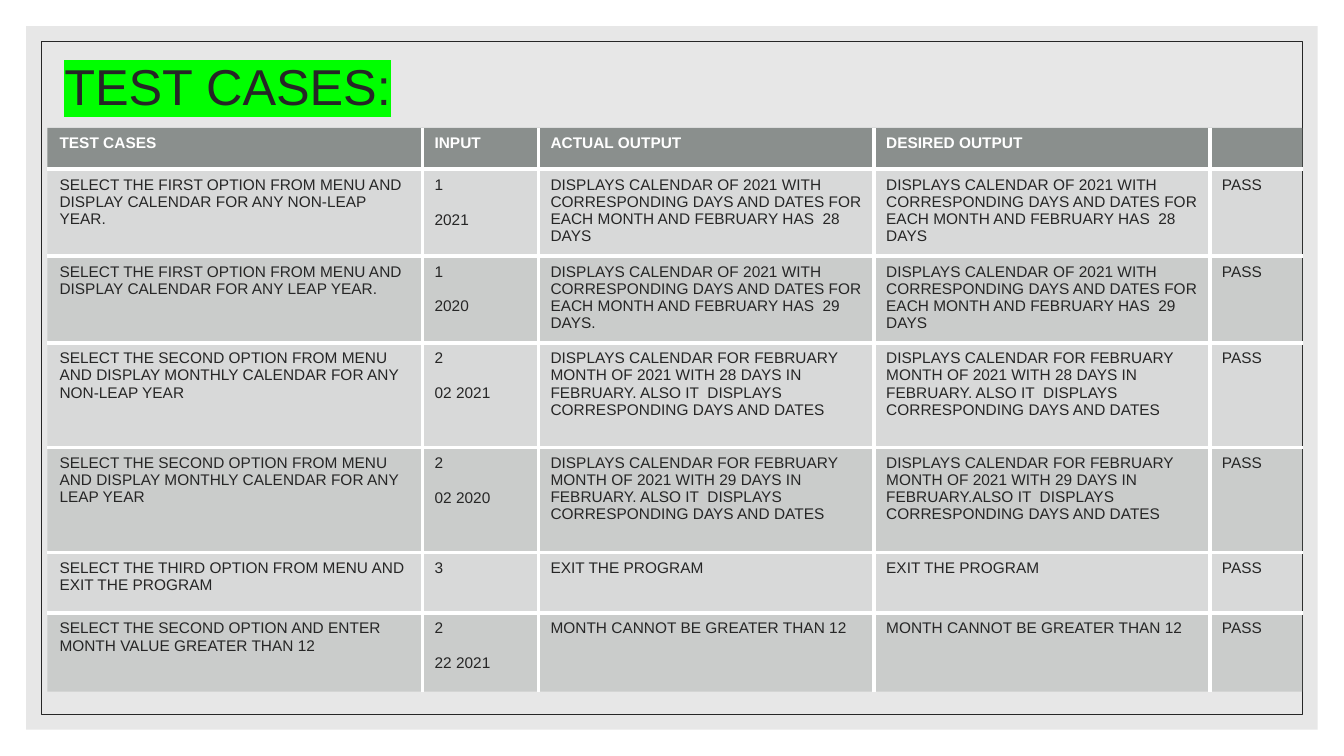
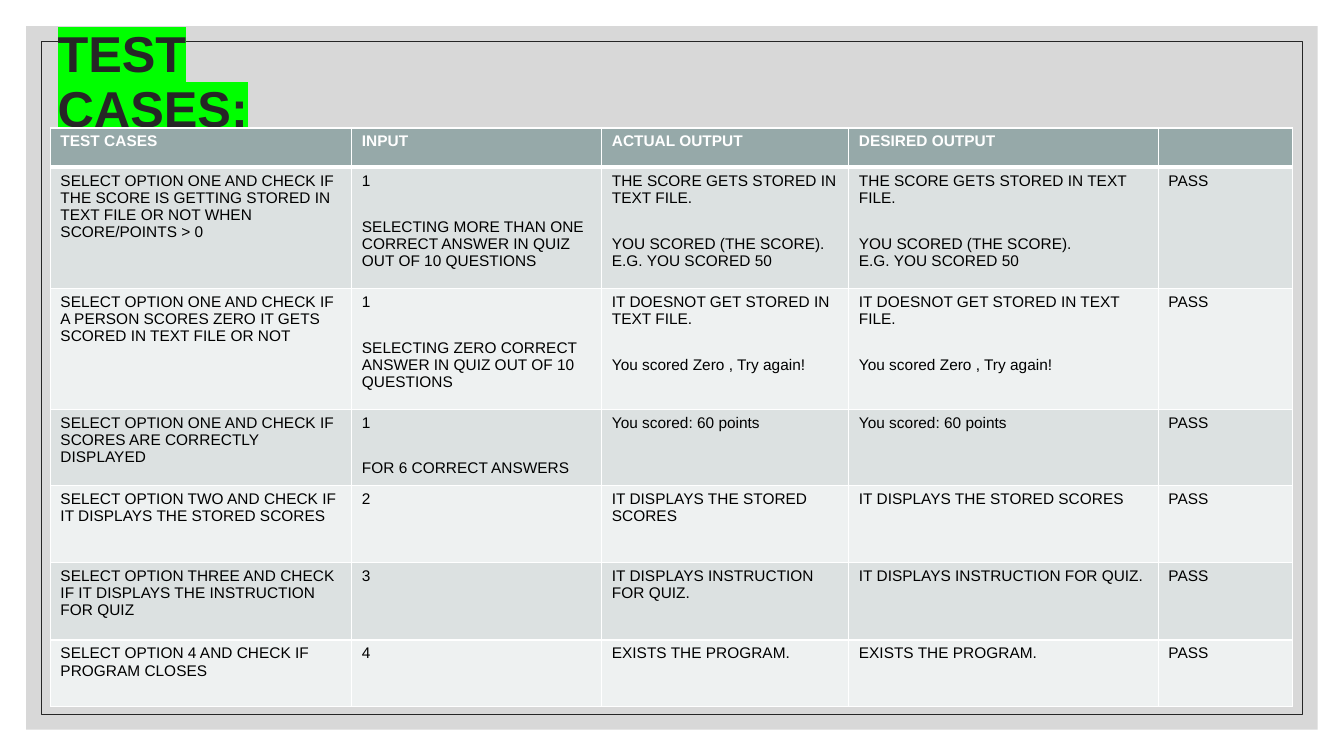
from dataclasses import dataclass

import pptx
import pptx.dml.color
import pptx.enum.shapes
import pptx.enum.text
import pptx.oxml.ns
import pptx.oxml.xmlchemy
import pptx.util
from lxml import etree

qn = pptx.oxml.ns.qn
Pt = pptx.util.Pt
Inches = pptx.util.Inches
ALIGN = pptx.enum.text.PP_ALIGN

SLIDE_WIDTH, SLIDE_HEIGHT = Inches(13.33), Inches(7.5)
FONT = "Arial"
DARK, WHITE, BLACK, MARKER = "262626", "FFFFFF", "000000", "00FF00"
TITLE = "TEST CASES:"
HEADINGS = ("TEST CASES", "INPUT", "ACTUAL OUTPUT", "DESIRED OUTPUT", "")
TABLE_TOP = 16.93
PANEL_INSET = (1.95, 3.47)
OUTLINE_INSET = (3.08, 5.47)


@dataclass(frozen=True)
class Case:
    """One tested case; lines are separated by newlines."""
    step: str
    entry: str
    actual: str
    desired: str = ""

    def cells(self) -> tuple[str, ...]:
        return self.step, self.entry, self.actual, self.desired or self.actual, "PASS"


@dataclass(frozen=True)
class Look:
    """How a table is painted: fills are (colour, opacity) pairs, lines are points."""
    header: tuple[str, int]
    bands: tuple[tuple[str, int], tuple[str, int]]
    ink: str
    outer_line: float
    inner_line: float
    gap: float
    margins: dict[str, float]


@dataclass(frozen=True)
class TestSlide:
    """Lengths are percentages of the slide's width or height."""
    panel: str
    title_box: tuple[float, float, float, float]
    title_align: ALIGN
    title_bold: bool
    table_left: float
    columns: tuple[float, ...]
    rows: tuple[float, ...]
    look: Look
    cases: tuple[Case, ...]


CALENDAR = TestSlide(
    panel="D8D8D8",
    title_box=(3.9, 7.33, 26.1, 9.07), title_align=ALIGN.CENTER, title_bold=False,
    table_left=3.53,
    columns=(27.91, 8.63, 24.98, 24.98, 6.9),
    rows=(5.47, 11.47, 11.47, 13.87, 13.87, 8, 10.4),
    look=Look(("636B68", 70), (("878E8B", 15), ("878E8B", 30)), DARK, 0, 3, 12.6,
              {"margin_left": 0.12, "margin_top": 0.07,
               "margin_right": 0.07, "margin_bottom": 0.07}),
    cases=(
        Case("SELECT THE FIRST OPTION FROM MENU AND DISPLAY CALENDAR FOR ANY NON-LEAP YEAR.",
             "1\n2021",
             "DISPLAYS CALENDAR OF 2021 WITH CORRESPONDING DAYS AND DATES FOR EACH MONTH "
             "AND FEBRUARY HAS  28 DAYS"),
        Case("SELECT THE FIRST OPTION FROM MENU AND DISPLAY CALENDAR FOR ANY LEAP YEAR.",
             "1\n2020",
             "DISPLAYS CALENDAR OF 2021 WITH CORRESPONDING DAYS AND DATES FOR EACH MONTH "
             "AND FEBRUARY HAS  29 DAYS.",
             "DISPLAYS CALENDAR OF 2021 WITH CORRESPONDING DAYS AND DATES FOR EACH MONTH "
             "AND FEBRUARY HAS  29 DAYS"),
        Case("SELECT THE SECOND OPTION FROM MENU AND DISPLAY MONTHLY CALENDAR FOR ANY "
             "NON-LEAP YEAR",
             "2\n02 2021",
             "DISPLAYS CALENDAR FOR FEBRUARY MONTH OF 2021 WITH 28 DAYS IN FEBRUARY. "
             "ALSO IT  DISPLAYS CORRESPONDING DAYS AND DATES"),
        Case("SELECT THE SECOND OPTION FROM MENU AND DISPLAY MONTHLY CALENDAR FOR ANY "
             "LEAP YEAR",
             "2\n02 2020",
             "DISPLAYS CALENDAR FOR FEBRUARY MONTH OF 2021 WITH 29 DAYS IN FEBRUARY. "
             "ALSO IT  DISPLAYS CORRESPONDING DAYS AND DATES",
             "DISPLAYS CALENDAR FOR FEBRUARY MONTH OF 2021 WITH 29 DAYS IN FEBRUARY."
             "ALSO IT  DISPLAYS CORRESPONDING DAYS AND DATES"),
        Case("SELECT THE THIRD OPTION FROM MENU AND EXIT THE PROGRAM", "3",
             "EXIT THE PROGRAM"),
        Case("SELECT THE SECOND OPTION AND ENTER MONTH VALUE GREATER THAN 12",
             "2\n22 2021", "MONTH CANNOT BE GREATER THAN 12"),
    ),
)

QUIZ = TestSlide(
    panel="BFBFBF",
    title_box=(3.53, 6, 25.28, 10.13), title_align=ALIGN.LEFT, title_bold=True,
    table_left=3.75,
    columns=(22.43, 18.6, 18.38, 23.03, 9.98),
    rows=(5.2, 16, 16, 10.13, 10.13, 10.27, 8.8),
    look=Look(("96A9A9", 100), (("DCE1E1", 100), ("EEF1F1", 100)), BLACK, 1, 1, 20.5,
              {"margin_left": 0.1, "margin_top": 0.05,
               "margin_right": 0.1, "margin_bottom": 0.05}),
    cases=(
        Case("SELECT OPTION ONE AND CHECK IF THE SCORE IS GETTING STORED IN TEXT FILE "
             "OR NOT WHEN SCORE/POINTS > 0",
             "1\nSELECTING MORE THAN ONE CORRECT ANSWER IN QUIZ OUT OF 10 QUESTIONS",
             "THE SCORE GETS STORED IN TEXT FILE.\nYOU SCORED (THE SCORE).\n"
             "E.G. YOU SCORED 50"),
        Case("SELECT OPTION ONE AND CHECK IF A PERSON SCORES ZERO IT GETS SCORED IN "
             "TEXT FILE OR NOT",
             "1\nSELECTING ZERO CORRECT ANSWER IN QUIZ OUT OF 10 QUESTIONS",
             "IT DOESNOT GET STORED IN TEXT FILE.\nYou scored Zero , Try again!"),
        Case("SELECT OPTION ONE AND CHECK IF SCORES ARE CORRECTLY DISPLAYED",
             "1\nFOR 6 CORRECT ANSWERS", "You scored: 60 points"),
        Case("SELECT OPTION TWO AND CHECK IF IT DISPLAYS THE STORED SCORES", "2",
             "IT DISPLAYS THE STORED SCORES"),
        Case("SELECT OPTION THREE AND CHECK IF IT DISPLAYS THE INSTRUCTION FOR QUIZ", "3",
             "IT DISPLAYS INSTRUCTION FOR QUIZ."),
        Case("SELECT OPTION 4 AND CHECK IF PROGRAM CLOSES", "4", "EXISTS THE PROGRAM."),
    ),
)


def across(percent: float) -> int:
    return round(SLIDE_WIDTH * percent / 100)


def down(percent: float) -> int:
    return round(SLIDE_HEIGHT * percent / 100)


def rgb(colour: str) -> pptx.dml.color.RGBColor:
    return pptx.dml.color.RGBColor.from_string(colour)


def set_all(target, values: dict) -> None:
    for name, value in values.items():
        setattr(target, name, value)


def paint(owner, element, colour: str, opacity: int) -> None:
    """Fill a shape or cell, whose fill sits in the given XML element."""
    owner.fill.solid()
    owner.fill.fore_color.rgb = rgb(colour)
    if opacity < 100:
        swatch = element.find(qn("a:solidFill")).find(qn("a:srgbClr"))
        etree.SubElement(swatch, qn("a:alpha"), val=str(opacity * 1000))


def style_run(run, size: float, colour: str, bold: bool) -> None:
    set_all(run.font, {"size": Pt(size), "name": FONT, "bold": bold})
    run.font.color.rgb = rgb(colour)


def add_rectangle(slide, inset: tuple[float, float]):
    x, y = inset
    rectangle = slide.shapes.add_shape(
        pptx.enum.shapes.MSO_SHAPE.RECTANGLE,
        across(x), down(y), across(100 - 2 * x), down(100 - 2 * y))
    rectangle.shadow.inherit = False
    return rectangle


def add_frame(slide, colour: str) -> None:
    panel = add_rectangle(slide, PANEL_INSET)
    paint(panel, panel._element.spPr, colour, 60)
    panel.line.fill.background()
    outline = add_rectangle(slide, OUTLINE_INSET)
    outline.fill.background()
    outline.line.color.rgb = rgb(DARK)
    outline.line.width = Pt(0.75)


def add_title(slide, plan: TestSlide) -> None:
    title = slide.shapes.title
    slide.shapes._spTree.append(title._element)
    left, top, width, height = plan.title_box
    set_all(title, {"left": across(left), "top": down(top),
                    "width": across(width), "height": down(height)})
    set_all(title.text_frame, {
        "word_wrap": True, "auto_size": pptx.enum.text.MSO_AUTO_SIZE.NONE,
        "vertical_anchor": pptx.enum.text.MSO_ANCHOR.MIDDLE,
        "margin_left": Inches(0.1), "margin_right": Inches(0.1),
        "margin_top": Inches(0.05), "margin_bottom": Inches(0.05)})
    heading = title.text_frame.paragraphs[0]
    set_all(heading, {"alignment": plan.title_align, "line_spacing": 0.9})
    run = heading.add_run()
    run.text = TITLE
    style_run(run, 36, DARK, plan.title_bold)
    highlight = etree.Element(qn("a:highlight"))
    etree.SubElement(highlight, qn("a:srgbClr"), val=MARKER)
    run._r.rPr.find(qn("a:solidFill")).addnext(highlight)


def add_border(cell, side: str, width: float) -> None:
    """Draw one side (L, R, T or B) in white; a zero width leaves it bare."""
    line = etree.SubElement(cell._tc.get_or_add_tcPr(), qn(f"a:ln{side}"),
                            w=str(Pt(width)))
    if width:
        solid = etree.SubElement(line, qn("a:solidFill"))
        etree.SubElement(solid, qn("a:srgbClr"), val=WHITE)
    else:
        etree.SubElement(line, qn("a:noFill"))


def write_cell(cell, text: str, colour: str, bold: bool, gap: float) -> None:
    frame = cell.text_frame
    if not text:
        etree.SubElement(frame.paragraphs[0]._p, qn("a:endParaRPr"), sz="1100")
        return
    for index, line in enumerate(text.split("\n")):
        paragraph = frame.add_paragraph() if index else frame.paragraphs[0]
        if index == 1:
            paragraph.space_before = Pt(gap)
        run = paragraph.add_run()
        run.text = line
        style_run(run, 11, colour, bold)


def add_case_table(slide, plan: TestSlide) -> None:
    look = plan.look
    contents = [HEADINGS, *(case.cells() for case in plan.cases)]
    last_row, last_column = len(plan.rows) - 1, len(plan.columns) - 1
    table = slide.shapes.add_table(
        len(plan.rows), len(plan.columns), across(plan.table_left), down(TABLE_TOP),
        across(sum(plan.columns)), down(sum(plan.rows))).table
    set_all(table, {"first_row": False, "horz_banding": False})
    for column, width in zip(table.columns, plan.columns):
        column.width = across(width)
    for row, height in zip(table.rows, plan.rows):
        row.height = down(height)

    for r, texts in enumerate(contents):
        fill = look.bands[(r - 1) % 2] if r else look.header
        for c, text in enumerate(texts):
            cell = table.cell(r, c)
            set_all(cell, {name: Inches(size) for name, size in look.margins.items()})
            at_edge = {"L": c == 0, "R": c == last_column, "T": r == 0, "B": r == last_row}
            for side, outer in at_edge.items():
                under_header = (r, side) in ((0, "B"), (1, "T"))
                inner = 3 if under_header else look.inner_line
                add_border(cell, side, look.outer_line if outer else inner)
            paint(cell, cell._tc.tcPr, *fill)
            write_cell(cell, text, look.ink if r else WHITE, r == 0, look.gap)


def main() -> None:
    deck = pptx.Presentation()
    set_all(deck, {"slide_width": SLIDE_WIDTH, "slide_height": SLIDE_HEIGHT})
    title_only = deck.slide_layouts[5]
    for plan in (CALENDAR, QUIZ):
        slide = deck.slides.add_slide(title_only)
        add_frame(slide, plan.panel)
        add_title(slide, plan)
        add_case_table(slide, plan)
    deck.save("out.pptx")


if __name__ == "__main__":
    main()
